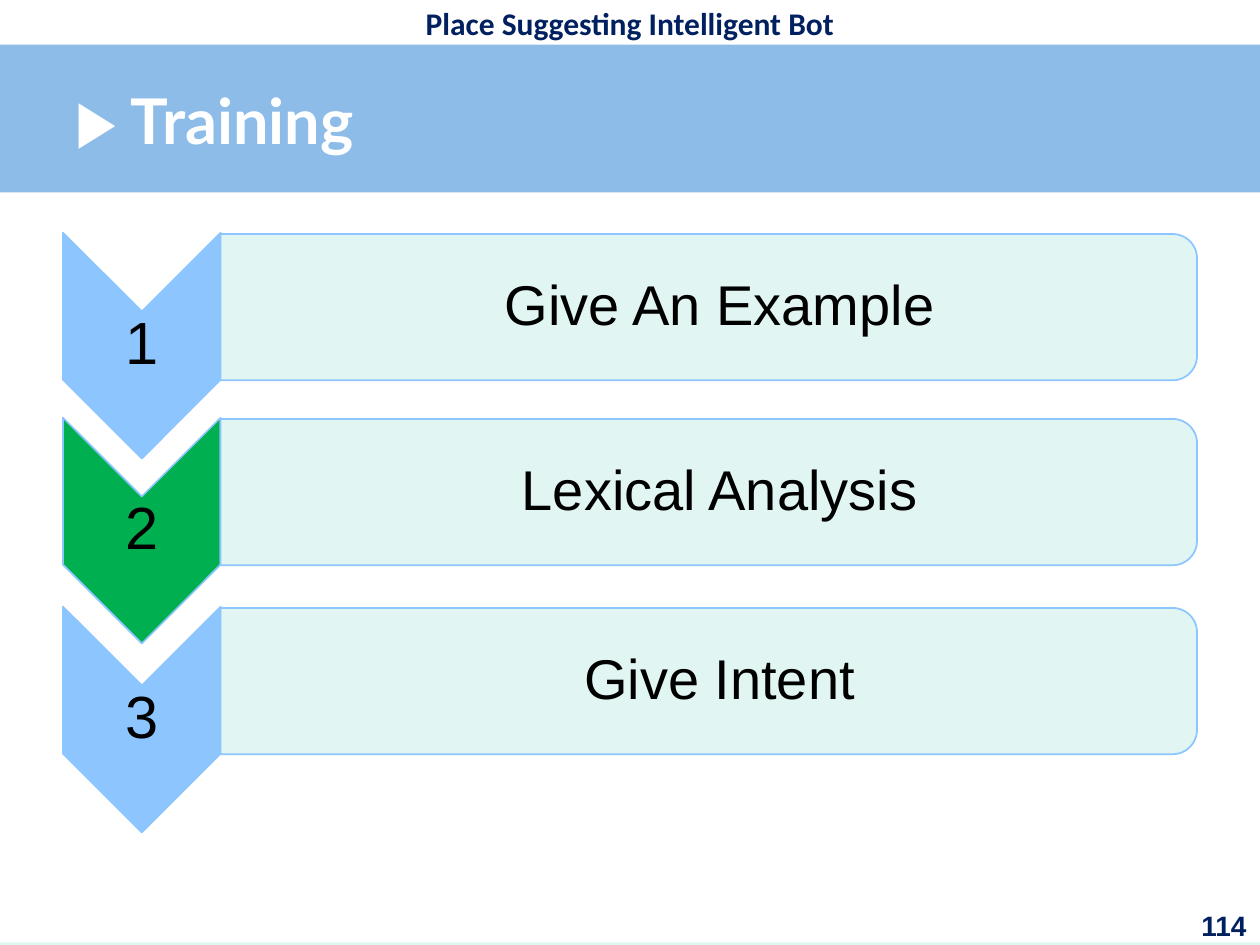
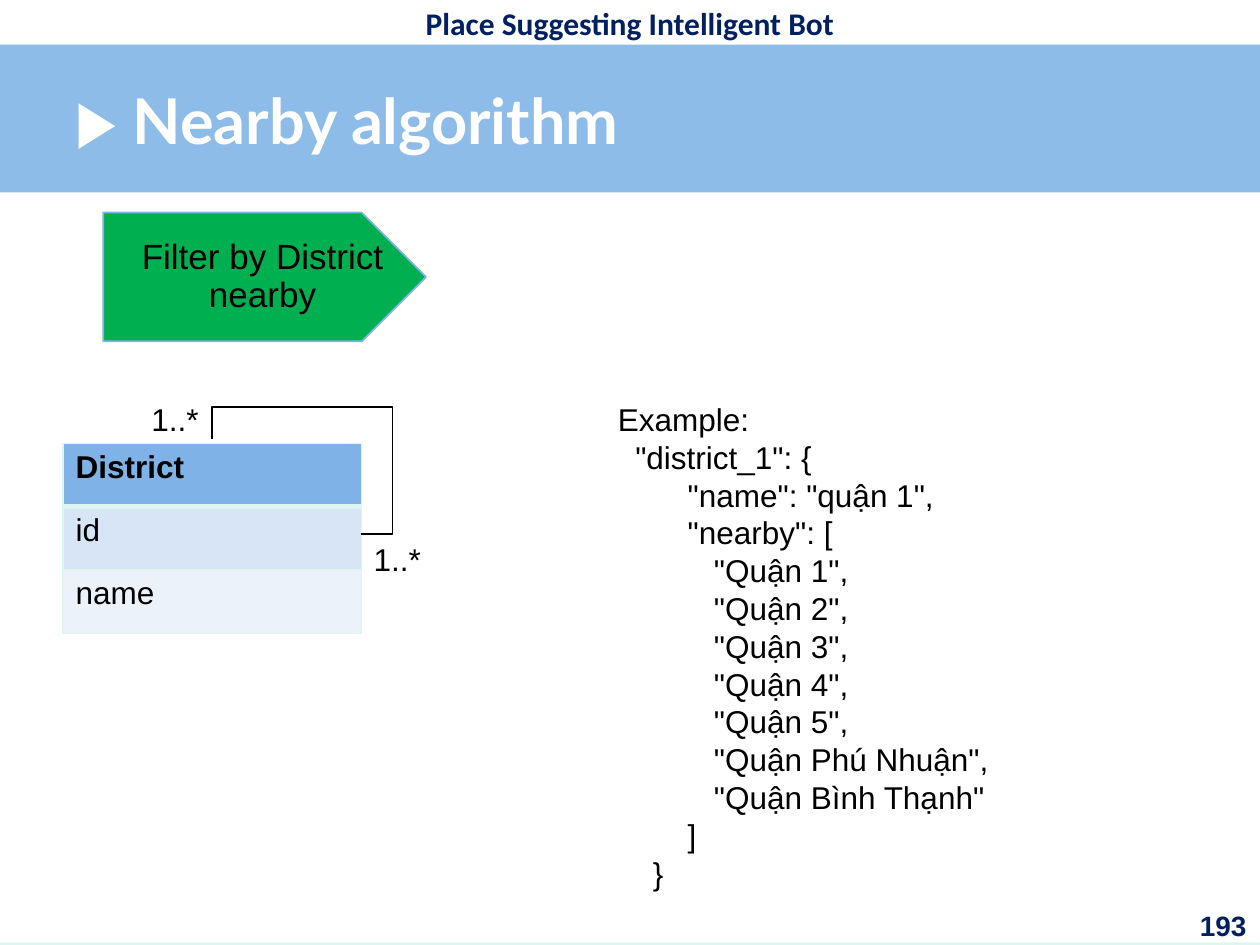
from lxml import etree
from pptx import Presentation
from pptx import util as u
from pptx.dml.color import RGBColor
from pptx.enum import shapes, text
from pptx.oxml import ns

Pt = u.Pt
KIND = shapes.MSO_SHAPE
HUE = {
    "mint": "DEF6F1", "band": "7FB3E7", "white": "FFFFFF", "navy": "002060",
    "black": "000000", "sky": "8DC6FF", "green": "00B050", "edge": "80B4E7",
    "pale": "D8E5F6", "faint": "ECF2FA",
}
ALIGN = {"l": text.PP_ALIGN.LEFT, "c": text.PP_ALIGN.CENTER, "r": text.PP_ALIGN.RIGHT}
TITLE = (36, 25.2, 648, 86.4)
STEPS = ["Give An Example", "Lexical Analysis", "Give Intent"]
SAMPLE = """Example:
  "district_1": {
        "name": "quận 1",
        "nearby": [
           "Quận 1",
           "Quận 2",
           "Quận 3",
           "Quận 4",
           "Quận 5",
           "Quận Phú Nhuận",
           "Quận Bình Thạnh"
        ]
    }"""


def rgb(name):
    """Return the named colour."""
    return RGBColor.from_string(HUE[name])


def sub(parent, tag, **attrs):
    """Add a drawing element to a parent."""
    return etree.SubElement(parent, ns.qn("a:" + tag), attrs)


def write(frame, words, size=18, font="Arial", hue="black", bold=False,
          align="l", mid=False, wrap=True, inset=(7.2, 3.6, 7.2, 3.6), lead=None):
    """Fill a text frame with formatted lines."""
    frame.word_wrap = wrap
    frame.auto_size = text.MSO_AUTO_SIZE.NONE
    frame.vertical_anchor = text.MSO_ANCHOR.MIDDLE if mid else text.MSO_ANCHOR.TOP
    sides = ("margin_left", "margin_top", "margin_right", "margin_bottom")
    for side, gap in zip(sides, inset):
        setattr(frame, side, Pt(gap))
    frame.text = words
    for para in frame.paragraphs:
        para.alignment = ALIGN[align]
        para.line_spacing = lead
        for run in para.runs:
            run.font.size, run.font.name, run.font.bold = Pt(size), font, bold
            run.font.color.rgb = rgb(hue)


def label(slide, box, words, **form):
    """Add a text box."""
    item = slide.shapes.add_textbox(*map(Pt, box))
    write(item.text_frame, words, **form)
    return item


def draw(slide, kind, box, fill, line=None, alpha=None, turn=False):
    """Add a shape that covers the box, turned a quarter if asked."""
    x, y, w, h = box
    if turn:
        x, y, w, h = x + (w - h) / 2, y + (h - w) / 2, h, w
    item = slide.shapes.add_shape(kind, Pt(x), Pt(y), Pt(w), Pt(h))
    item.rotation = 90 if turn else 0
    item.shadow.inherit = False
    item.fill.solid()
    item.fill.fore_color.rgb = rgb(fill)
    if alpha:
        tint = item.element.spPr.find(".//" + ns.qn("a:srgbClr"))
        sub(tint, "alpha", val=str(alpha * 1000))
    if line:
        item.line.color.rgb, item.line.width = rgb(line), Pt(1)
    else:
        item.line.fill.background()
    return item


def brand(deck, slide):
    """Move the shared bands and header from a slide to the master."""
    master = deck.slide_master
    master.background.fill.solid()
    master.background.fill.fore_color.rgb = rgb("mint")
    parts = [
        draw(slide, KIND.RECTANGLE, (0, 0, 720, 111.6), "band", alpha=85),
        draw(slide, KIND.RECTANGLE, (0, 0, 720, 25.6), "white"),
        draw(slide, KIND.RECTANGLE, (0, 110, 720, 428.6), "white"),
        label(slide, (36, 0, 648, 25.9), "Place Suggesting Intelligent Bot",
              font="Calibri", hue="navy", bold=True, align="c", mid=True),
    ]
    for num, part in enumerate(parts, 50):
        part.element.nvSpPr.cNvPr.set("id", str(num))
        master.shapes.element.append(part.element)


def start(deck, title, page):
    """Add a slide with its title and page number."""
    slide = deck.slides.add_slide(deck.slide_layouts[5])
    head = slide.shapes.title
    head.left, head.top, head.width, head.height = map(Pt, TITLE)
    write(head.text_frame, "▶ " + title, size=36, font="Lato", hue="white",
          bold=True, mid=True)
    label(slide, (675.4, 515.5, 44, 24.5), page, size=16, hue="navy",
          bold=True, align="r")
    return slide


def step(slide, box, num, words, fill):
    """Draw a numbered chevron with its panel."""
    x, y, w, h = box
    arm, deep = 90, 129
    draw(slide, KIND.CHEVRON, (x, y, arm, deep), fill, line="sky", turn=True)
    label(slide, (x, y + arm / 2, arm, deep - arm), num, size=34, align="c",
          mid=True, inset=(1.4,) * 4, lead=0.9)
    panel = (x + arm, y + 0.7, w - arm, h)
    draw(slide, KIND.ROUND_2_SAME_RECTANGLE, panel, "mint", line="sky",
         alpha=90, turn=True)
    label(slide, (x + arm, y + 4.7, w - arm - 4, h - 8), words, size=32,
          align="c", mid=True, inset=(18, 1.4, 1.4, 1.4), lead=0.9)


def edge(cell, side, width):
    """Give one side of a cell a mint border."""
    line = sub(cell._tc.get_or_add_tcPr(), side, w=str(Pt(width)))
    sub(sub(line, "solidFill"), "srgbClr", val=HUE["mint"])


def entity(slide, box, rows):
    """Draw a one-column table of an entity and its fields."""
    grid = slide.shapes.add_table(len(rows), 1, *map(Pt, box)).table
    fills = ["band", "pale", "faint"]
    for i, (words, fill) in enumerate(zip(rows, fills)):
        cell = grid.cell(i, 0)
        for side in ("lnL", "lnR", "lnT", "lnB"):
            thick = (side, i) in (("lnB", 0), ("lnT", 1))
            edge(cell, side, 3 if thick else 1)
        cell.fill.solid()
        cell.fill.fore_color.rgb = rgb(fill)
        write(cell.text_frame, words, bold=i == 0)


def loop(slide, box):
    """Draw the bent line that ties the entity to itself."""
    x, y, w, h = box
    link = slide.shapes.add_connector(
        shapes.MSO_CONNECTOR.ELBOW, Pt(x), Pt(y), Pt(x + w), Pt(y + h))
    link.line.color.rgb, link.line.width = rgb("black"), Pt(1)
    props = link.element.spPr
    props.xfrm.set("rot", "16200000")
    props.xfrm.set("flipH", "1")
    geom = props.find(ns.qn("a:prstGeom"))
    geom.set("prst", "bentConnector4")
    guides = geom.find(ns.qn("a:avLst"))
    if guides is None:
        guides = sub(geom, "avLst")
    for name, val in (("adj1", -33100), ("adj2", 121100)):
        sub(guides, "gd", name=name, fmla=f"val {val}")
    sub(props, "effectLst")


def train(deck):
    """Build the slide of training steps."""
    slide = start(deck, "Training", "114")
    brand(deck, slide)
    for i, (top, words) in enumerate(zip((133, 238.7, 346.7), STEPS)):
        step(slide, (36, top, 648, 83.6), str(i + 1), words,
             "green" if i == 1 else "sky")


def nearby(deck):
    """Build the slide of the nearby algorithm."""
    slide = start(deck, "Nearby algorithm", "193")
    tag = draw(slide, KIND.PENTAGON, (59, 121.5, 184.5, 73.6), "green", line="edge")
    write(tag.text_frame, "Filter by District nearby", size=20, align="c",
          mid=True, inset=(21, 10.8, 5, 10.8), lead=0.9)
    entity(slide, (36, 253.4, 170.6, 108.6), ["District", "id", "name"])
    loop(slide, (136.5, 235.4, 54.5, 85.2))
    for x, y in ((79.4, 224.8), (206.4, 304.8)):
        label(slide, (x, y, 41.8, 29), "1..*", wrap=False)
    label(slide, (346, 225, 302, 291), SAMPLE)


def main():
    """Build and save the deck."""
    deck = Presentation()
    deck.slide_width, deck.slide_height = Pt(720), Pt(540)
    train(deck)
    nearby(deck)
    deck.save("out.pptx")


if __name__ == "__main__":
    main()
